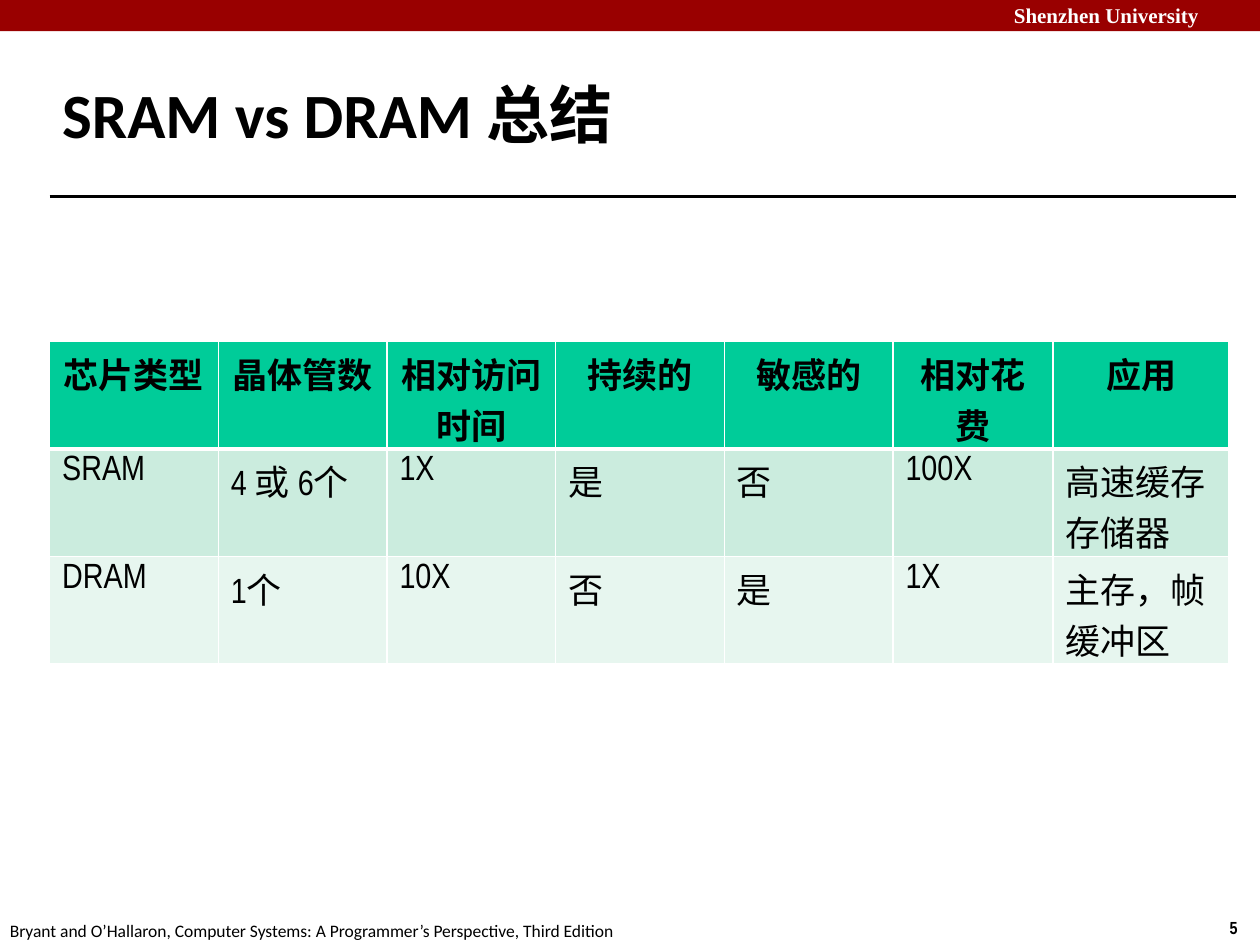
from pptx import Presentation
from pptx.dml.color import RGBColor
from pptx.enum.shapes import MSO_CONNECTOR, MSO_SHAPE
from pptx.enum.text import MSO_ANCHOR, MSO_AUTO_SIZE, PP_ALIGN
from pptx.oxml import parse_xml
from pptx.oxml.ns import nsdecls
from pptx.util import Cm, Pt

TITLE = "SRAM vs DRAM 总结"
MARGIN_TEXTS = [
    ("Shenzhen University", (20.19, -0.08, 5.38, 0.76), True, ("Times New Roman", 12, "FFFFFF", True)),
    ("5", (24.54, 18.36, 0.86, 0.69), False, ("Arial Narrow", 10, "000000", True)),
    ("Bryant and O’Hallaron, Computer Systems: A Programmer’s Perspective, Third Edition",
     (-0.05, 18.42, 12.93, 0.69), False, ("Calibri", 10, "000000", False)),
]
COMPARISON = [
    ("芯片类型", "晶体管数", "相对访问时间", "持续的", "敏感的", "相对花费", "应用"),
    ("SRAM", "4 或 6个", "1X", "是", "否", "100X", "高速缓存存储器"),
    ("DRAM", "1个", "10X", "否", "是", "1X", "主存，帧缓冲区"),
]
ROW_FILLS = ["00CC99", "CBECDE", "E7F6EF"]
COLUMN_WIDTHS = [3.4] * 5 + [3.23, 3.55]
ROW_HEIGHT = 2.17
LEFT = 1.0


def color(value):
    return RGBColor.from_string(value)


def set_font(paragraph, name, size, rgb, bold):
    font = paragraph.font
    font.name, font.size, font.bold = name, Pt(size), bold
    font.color.rgb = color(rgb)


def add_border(cell, side, points):
    cell._tc.get_or_add_tcPr().append(parse_xml(
        f'<a:{side} {nsdecls("a")} w="{Pt(points)}"><a:solidFill>'
        f'<a:srgbClr val="FFFFFF"/></a:solidFill></a:{side}>'))


def add_header(slide, width):
    band = slide.shapes.add_shape(MSO_SHAPE.RECTANGLE, 0, 0, width, Cm(0.63))
    band.shadow.inherit = False
    band.fill.solid()
    band.fill.fore_color.rgb = color("990000")
    band.line.fill.background()


def add_margin_text(slide, text, place, wrap, style):
    frame = slide.shapes.add_textbox(*map(Cm, place)).text_frame
    frame.word_wrap = wrap
    frame.auto_size = MSO_AUTO_SIZE.SHAPE_TO_FIT_TEXT
    frame.text = text
    set_font(frame.paragraphs[0], *style)


def add_title(slide):
    title = slide.shapes.title
    title.left, title.top, title.width, title.height = map(Cm, (LEFT, 1.22, 21.08, 2.11))
    frame = title.text_frame
    frame.text = TITLE
    frame.auto_size = MSO_AUTO_SIZE.NONE
    frame.vertical_anchor = MSO_ANCHOR.MIDDLE
    frame.paragraphs[0].alignment = PP_ALIGN.LEFT
    set_font(frame.paragraphs[0], "Calibri", 36, "000000", True)

    rule = slide.shapes.add_connector(MSO_CONNECTOR.STRAIGHT, *map(Cm, (LEFT, 3.96, 24.92, 3.96)))
    rule.line.color.rgb = color("000000")
    rule.line.width = Pt(2)
    rule._element.spPr.append(parse_xml(f'<a:effectLst {nsdecls("a")}/>'))


def add_comparison(slide):
    row_count = len(COMPARISON)
    table = slide.shapes.add_table(
        row_count, len(COLUMN_WIDTHS), Cm(LEFT), Cm(6.88),
        Cm(sum(COLUMN_WIDTHS)), Cm(ROW_HEIGHT * row_count)).table
    for column, width in zip(table.columns, COLUMN_WIDTHS):
        column.width = Cm(width)
    for index, (row, texts) in enumerate(zip(table.rows, COMPARISON)):
        row.height = Cm(ROW_HEIGHT)
        is_heading = index == 0
        for cell, text in zip(row.cells, texts):
            cell.text = text
            paragraph = cell.text_frame.paragraphs[0]
            paragraph.alignment = PP_ALIGN.CENTER if is_heading else PP_ALIGN.LEFT
            set_font(paragraph, "Arial Narrow", 20, "000000", is_heading)
            add_border(cell, "lnL", 1)
            add_border(cell, "lnR", 1)
            add_border(cell, "lnT", 3 if index == 1 else 1)
            add_border(cell, "lnB", 3 if is_heading else 1)
            cell.fill.solid()
            cell.fill.fore_color.rgb = color(ROW_FILLS[index])


def main():
    deck = Presentation()
    deck.slide_width, deck.slide_height = Cm(25.4), Cm(19.05)
    slide = deck.slides.add_slide(deck.slide_layouts[5])
    add_header(slide, deck.slide_width)
    for margin_text in MARGIN_TEXTS:
        add_margin_text(slide, *margin_text)
    add_title(slide)
    add_comparison(slide)
    deck.save("out.pptx")


if __name__ == "__main__":
    main()
